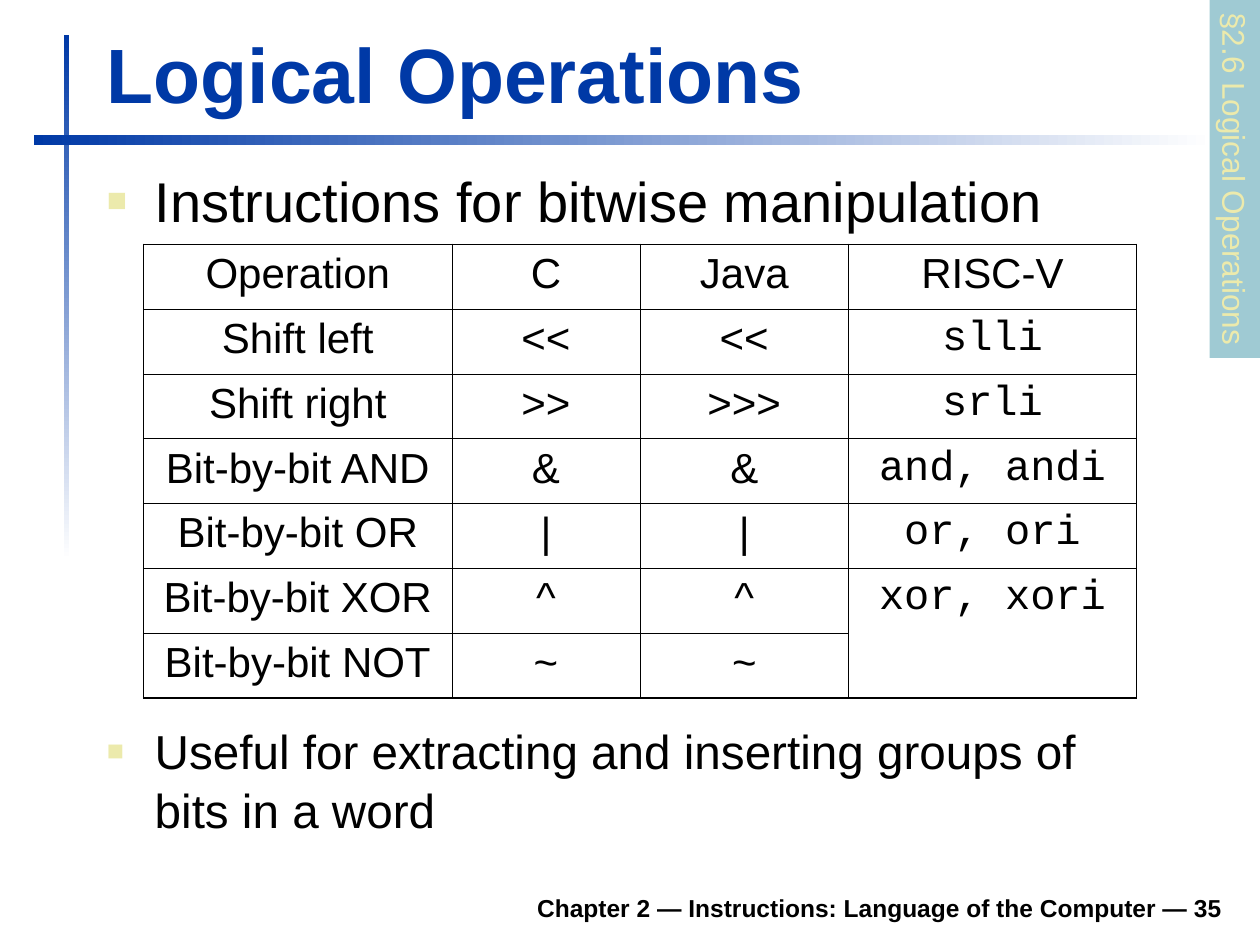
from lxml import etree
from pptx import Presentation, util as u
from pptx.dml.color import RGBColor
from pptx.enum import shapes, text
from pptx.oxml.ns import qn

BLUE = RGBColor(0x00, 0x39, 0xA6)
WHITE = RGBColor(0xFF, 0xFF, 0xFF)
BLACK = RGBColor(0x00, 0x00, 0x00)
CREAM = RGBColor(0xEC, 0xEA, 0xAC)
TEAL = RGBColor(0x9F, 0xCA, 0xD3)

# The slide is a grid of 100 columns and 75 rows
COLS, ROWS = 100, 75
UNIT = u.Inches(0.1)
PLAIN = "{2D5ABB26-0587-4C30-8999-92F81FD0307C}"
OUTER, HEAD, INNER = 1.08, 0.75, 0.45

WIDTHS = [24.4, 14.9, 16.5, 22.8]
OPS = [
    ("Operation", "C", "Java", "RISC-V"),
    ("Shift left", "<<", "<<", "slli"),
    ("Shift right", ">>", ">>>", "srli"),
    ("Bit-by-bit AND", "&", "&", "and, andi"),
    ("Bit-by-bit OR", "|", "|", "or, ori"),
    ("Bit-by-bit XOR", "^", "^", "xor, xori"),
    ("Bit-by-bit NOT", "~", "~", ""),
]


def grid(*cells):
    return [round(c * UNIT) for c in cells]


def add_xml(parent, tag, **attrs):
    return etree.SubElement(parent, qn(tag), attrs)


def write(frame, words, size, color=BLACK, face="Arial", bold=False,
          align=text.PP_ALIGN.LEFT, bullet=False, lead=None):
    """Fill a text frame with one formatted paragraph."""
    para = frame.paragraphs[0]
    para.alignment = align
    if lead:
        para.line_spacing = lead
    if bullet:
        props = para._p.get_or_add_pPr()
        props.set("marL", str(u.Inches(0.38)))
        props.set("indent", str(-u.Inches(0.38)))
        tint = add_xml(props, "a:buClr")
        add_xml(tint, "a:srgbClr", val=str(CREAM))
        add_xml(props, "a:buSzPct", val="60000")
        add_xml(props, "a:buFont", typeface="Arial")
        add_xml(props, "a:buChar", char="■")
    run = para.add_run()
    run.text = words
    font = run.font
    font.size, font.name, font.bold = u.Pt(size), face, bold
    font.color.rgb = color


def add_text(slide, box, words, size, anchor=text.MSO_ANCHOR.TOP, pad=0.5, **style):
    frame = slide.shapes.add_textbox(*grid(*box)).text_frame
    frame.word_wrap = True
    frame.vertical_anchor = anchor
    frame.margin_top = grid(pad)[0]
    write(frame, words, size, **style)


def add_rect(slide, box):
    rect = slide.shapes.add_shape(shapes.MSO_SHAPE.RECTANGLE, *grid(*box))
    rect.shadow.inherit = False
    rect.line.fill.background()
    return rect


def add_rules(slide, box):
    """Two fading bars that cross at the upper left."""
    x, y, w, h = box
    bars = [((x + 2.4, y, 0.4, h), 270), ((x, y + 7.9, w, 0.8), 0)]
    for area, angle in bars:
        fill = add_rect(slide, area).fill
        fill.gradient()
        fill.gradient_angle = angle
        for stop, color in zip(fill.gradient_stops, (BLUE, WHITE)):
            stop.color.rgb = color


def add_tab(slide, box, words):
    """Section tab, turned to read downwards within its box."""
    x, y, w, h = box
    tab = add_rect(slide, (x + (w - h) / 2, y + (h - w) / 2, h, w))
    tab.rotation = 90
    tab.fill.solid()
    tab.fill.fore_color.rgb = TEAL
    frame = tab.text_frame
    frame.word_wrap = False
    frame.vertical_anchor = text.MSO_ANCHOR.TOP
    write(frame, words, 18, color=CREAM)


def set_edges(cell, **edges):
    props = cell._tc.get_or_add_tcPr()
    for i, (side, width) in enumerate(edges.items()):
        line = etree.Element(qn("a:ln" + side), w=str(u.Pt(width)))
        fill = add_xml(line, "a:solidFill")
        add_xml(fill, "a:srgbClr", val=str(BLACK))
        props.insert(i, line)


def add_ops(slide, box):
    """Table of operators, its last cell merged with the one above."""
    rows, cols = len(OPS), len(WIDTHS)
    table = slide.shapes.add_table(rows, cols, *grid(*box)).table
    table.first_row = table.horz_banding = False
    table._tbl.tblPr.find(qn("a:tableStyleId")).text = PLAIN
    for col, width in zip(table.columns, WIDTHS):
        col.width = grid(box[2] * width / sum(WIDTHS))[0]
    for row in table.rows:
        row.height = grid(box[3] / rows)[0]
    table.cell(rows - 2, cols - 1).merge(table.cell(rows - 1, cols - 1))

    for r, row in enumerate(OPS):
        for c, words in enumerate(row):
            cell = table.cell(r, c)
            cell.fill.background()
            if cell.is_spanned:
                continue
            code = r > 0 and c == cols - 1
            write(cell.text_frame, words, 24, align=text.PP_ALIGN.CENTER,
                  face="Courier New" if code else "Arial")
            last = r + cell.span_height == rows
            set_edges(cell,
                      L=INNER if c else OUTER,
                      R=OUTER if c == cols - 1 else INNER,
                      T=OUTER if r == 0 else HEAD if r == 1 else INNER,
                      B=OUTER if last else HEAD if r == 0 else INNER)


def main():
    prs = Presentation()
    prs.slide_width, prs.slide_height = grid(COLS, ROWS)
    slide = prs.slides.add_slide(prs.slide_layouts[6])
    low = text.MSO_ANCHOR.BOTTOM

    # Frame and footer
    add_rules(slide, (2.7, 2.8, 93.7, 41.7))
    add_text(slide, (18.5, 69.8, 79.5, 3.9),
             "Chapter 2 — Instructions: Language of the Computer — 35", 14,
             anchor=low, bold=True, align=text.PP_ALIGN.RIGHT)

    # Title and content
    add_text(slide, (7.5, 1.6, 90.3, 8.3), "Logical Operations", 44,
             anchor=low, color=BLUE, bold=True)
    add_text(slide, (7.5, 12.3, 90.4, 7.6),
             "Instructions for bitwise manipulation", 32, pad=0.9, bullet=True)
    add_ops(slide, (11.4, 19.4, 78.8, 36))
    add_text(slide, (7.5, 56.4, 85, 10.2),
             "Useful for extracting and inserting groups of bits in a word",
             27.2, pad=0.7, bullet=True, lead=1.04)

    # Section tab
    add_tab(slide, (96, 0, 4, 28.4), "§2.6 Logical Operations")
    prs.save("out.pptx")


if __name__ == "__main__":
    main()
